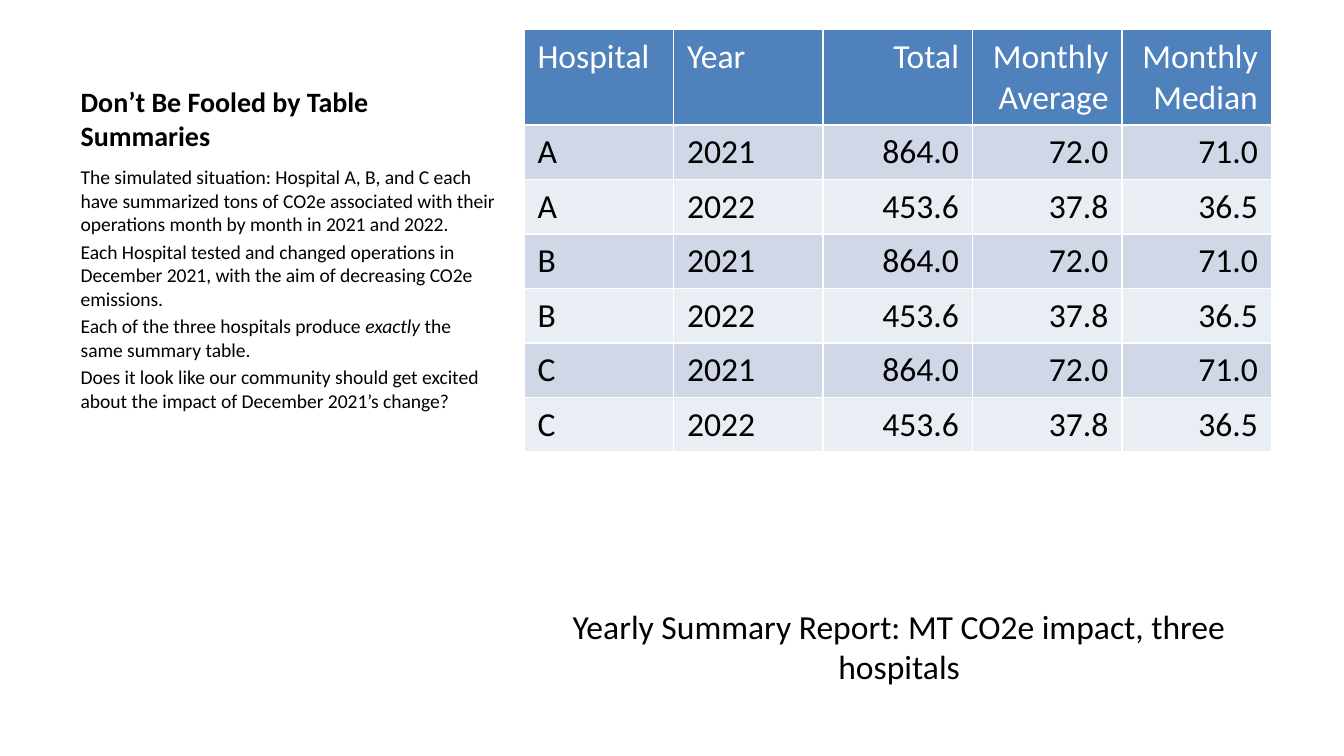
"""Build the slide on hospital summary tables."""
import dataclasses
import typing

import pptx
import pptx.dml.color
import pptx.enum.text
import pptx.util

Inches = pptx.util.Inches
Align = pptx.enum.text.PP_ALIGN
Anchor = pptx.enum.text.MSO_ANCHOR
BLACK, WHITE = "000000", "FFFFFF"
HEADER_FILL, BAND_FILLS = "4F81BD", ("D0D8E8", "E9EDF4")


@dataclasses.dataclass(frozen=True)
class Style:
    size: float
    color: str = BLACK
    bold: bool = False
    align: typing.Any = Align.LEFT
    space_before: float = 0


@dataclasses.dataclass(frozen=True)
class Piece:
    text: str
    italic: bool = False


def rgb(color: str) -> pptx.dml.color.RGBColor:
    return pptx.dml.color.RGBColor.from_string(color)


def place(shape, left: float, top: float, width: float, height: float) -> None:
    shape.left, shape.top = Inches(left), Inches(top)
    shape.width, shape.height = Inches(width), Inches(height)


def write(text_frame, paragraphs: list[list[Piece]], style: Style) -> None:
    text_frame.word_wrap = True
    for index, pieces in enumerate(paragraphs):
        paragraph = text_frame.add_paragraph() if index else text_frame.paragraphs[0]
        paragraph.alignment = style.align
        paragraph.space_before = pptx.util.Pt(style.space_before)
        for piece in pieces:
            run = paragraph.add_run()
            run.text = piece.text
            run.font.name = "Calibri"
            run.font.size = pptx.util.Pt(style.size)
            run.font.bold = style.bold
            run.font.italic = piece.italic
            run.font.color.rgb = rgb(style.color)


def add_summary_table(slide, rows: list[tuple[str, ...]]) -> None:
    column_count = len(rows[0])
    table = slide.shapes.add_table(
        len(rows), column_count, Inches(3.9), Inches(0.22), Inches(5.56), Inches(3.11)
    ).table
    for column in table.columns:
        column.width = Inches(5.56 / column_count)
    for row_index, values in enumerate(rows):
        is_header = row_index == 0
        table.rows[row_index].height = Inches(0.71 if is_header else 0.4)
        fill = HEADER_FILL if is_header else BAND_FILLS[(row_index - 1) % 2]
        for column_index, value in enumerate(values):
            cell = table.cell(row_index, column_index)
            cell.fill.solid()
            cell.fill.fore_color.rgb = rgb(fill)
            style = Style(
                18,
                WHITE if is_header else BLACK,
                align=Align.LEFT if column_index < 2 else Align.RIGHT,
            )
            write(cell.text_frame, [[Piece(value)]], style)


presentation = pptx.Presentation()
presentation.slide_width = Inches(10)
presentation.slide_height = presentation.slide_width * 9 // 16
caption_layout = presentation.slide_layouts.get_by_name("Content with Caption")
slide = presentation.slides.add_slide(caption_layout)
placeholders = {shape.placeholder_format.idx: shape for shape in slide.placeholders}
content = placeholders[1].element
content.getparent().remove(content)

title, body = placeholders[0], placeholders[2]
place(title, 0.5, 0.22, 3.29, 0.96)
title.text_frame.vertical_anchor = Anchor.BOTTOM
write(title.text_frame, [[Piece("Don’t Be Fooled by Table Summaries")]], Style(15, bold=True))

place(body, 0.5, 1.18, 3.29, 3.85)
write(
    body.text_frame,
    [
        [Piece("The simulated situation: Hospital A, B, and C each have summarized tons of "
               "CO2e associated with their operations month by month in 2021 and 2022.")],
        [Piece("Each Hospital tested and changed operations in December 2021, with the aim "
               "of decreasing CO2e emissions.")],
        [Piece("Each of the three hospitals produce "), Piece("exactly", italic=True),
         Piece(" the same summary table.")],
        [Piece("Does it look like our community should get excited about the impact of "
               "December 2021’s change?")],
    ],
    Style(10.5, space_before=2.1),
)

yearly_figures = [("2021", "864.0", "72.0", "71.0"), ("2022", "453.6", "37.8", "36.5")]
header = ("Hospital", "Year", "Total", "Monthly Average", "Monthly Median")
add_summary_table(
    slide, [header] + [(hospital, *figures) for hospital in "ABC" for figures in yearly_figures]
)

caption = slide.shapes.add_textbox(Inches(3.9), Inches(4.46), Inches(5.58), Inches(0.56))
write(
    caption.text_frame,
    [[Piece("Yearly Summary Report: MT CO2e impact, three hospitals")]],
    Style(18, align=Align.CENTER),
)
presentation.save("out.pptx")
